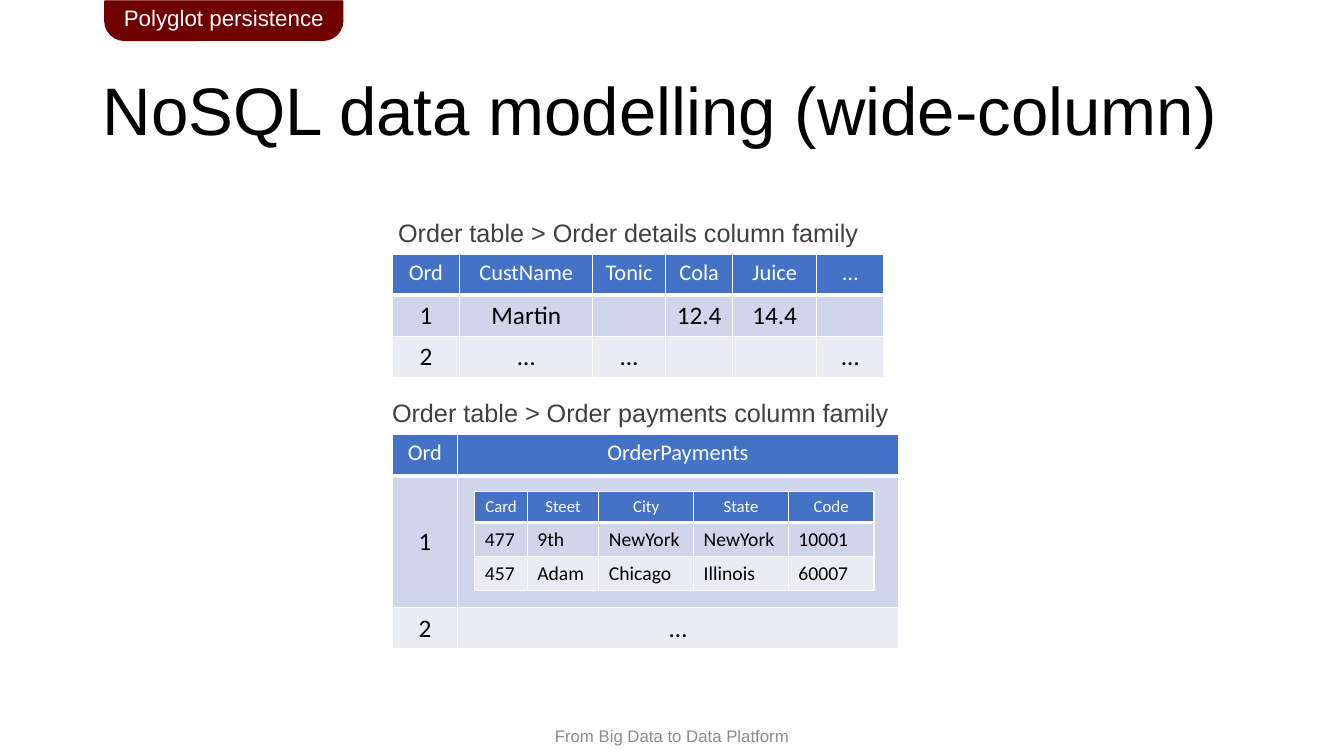
from dataclasses import dataclass

import lxml.etree
import pptx
import pptx.dml.color
import pptx.enum.shapes
import pptx.enum.text
import pptx.oxml.ns
import pptx.util

Inches = pptx.util.Inches
Align = pptx.enum.text.PP_ALIGN
Anchor = pptx.enum.text.MSO_ANCHOR

COLORS = {
    "black": "000000",
    "white": "FFFFFF",
    "label": "404040",
    "footer": "8C8C8C",
    "tab": "700000",
    "head": "4472C4",
    "odd": "CFD5EA",
    "even": "E9EBF5",
}


@dataclass
class Grid:
    left: float
    top: float
    widths: list[float]
    heights: list[float]
    rows: list[list[str]]
    head_size: int = 16
    body_size: int = 18
    align: Align = Align.CENTER
    anchor: Anchor = Anchor.TOP


@dataclass
class Label:
    text: str
    left: float
    top: float
    width: float
    size: int = 18
    color: str = "label"
    align: Align = Align.LEFT
    anchor: Anchor = Anchor.TOP
    wrap: bool = False


GRIDS = [
    Grid(3.89, 2.52, [0.67, 1.32, 0.72, 0.67, 0.83, 0.67], [0.41] * 3, [
        ["Ord", "CustName", "Tonic", "Cola", "Juice", "…"],
        ["1", "Martin", "", "12.4", "14.4", ""],
        ["2", "…", "…", "", "", "…"],
    ]),
    Grid(3.89, 4.31, [0.65, 4.37], [0.41, 1.31, 0.41], [
        ["Ord", "OrderPayments"],
        ["1", ""],
        ["2", "…"],
    ], anchor=Anchor.MIDDLE),
    Grid(4.71, 4.88, [0.52, 0.71, 0.94, 0.94, 0.85], [0.29, 0.32, 0.32], [
        ["Card", "Steet", "City", "State", "Code"],
        ["477", "9th", "NewYork", "NewYork", "10001"],
        ["457", "Adam", "Chicago", "Illinois", "60007"],
    ], head_size=12, body_size=14, align=Align.LEFT),
]

LABELS = [
    Label("Order table > Order details column family", 3.85, 2.11, 4.81),
    Label("Order table > Order payments column family", 3.79, 3.89, 5.17),
    Label("From Big Data to Data Platform", 4.79, 7.1, 3.75, 12, "footer",
          Align.CENTER, Anchor.MIDDLE, True),
]


def get_rgb(name: str) -> pptx.dml.color.RGBColor:
    return pptx.dml.color.RGBColor.from_string(COLORS[name])


def write(frame, text: str, *, size: int, color: str, font: str = "Arial",
          align: Align = Align.LEFT, spacing: float | None = None) -> None:
    para = frame.paragraphs[0]
    para.alignment = align
    para.line_spacing = spacing
    if not text:
        return
    run = para.add_run()
    run.text = text
    run.font.name = font
    run.font.size = pptx.util.Pt(size)
    run.font.color.rgb = get_rgb(color)


def add_borders(cell, row: int) -> None:
    """Draw white cell edges, thick between the head and the body."""
    props = cell._tc.get_or_add_tcPr()
    thick = {0: "lnB", 1: "lnT"}.get(row)
    for side in ("lnL", "lnR", "lnT", "lnB"):
        width = pptx.util.Pt(3 if side == thick else 1)
        line = lxml.etree.SubElement(
            props, pptx.oxml.ns.qn(f"a:{side}"), w=str(int(width)))
        fill = lxml.etree.SubElement(line, pptx.oxml.ns.qn("a:solidFill"))
        lxml.etree.SubElement(
            fill, pptx.oxml.ns.qn("a:srgbClr"), val=COLORS["white"])


def add_grid(slide, grid: Grid) -> None:
    table = slide.shapes.add_table(
        len(grid.heights), len(grid.widths),
        Inches(grid.left), Inches(grid.top),
        Inches(sum(grid.widths)), Inches(sum(grid.heights))).table
    for column, width in zip(table.columns, grid.widths):
        column.width = Inches(width)
    for row, (height, texts) in enumerate(zip(grid.heights, grid.rows)):
        table.rows[row].height = Inches(height)
        head = row == 0
        for col, text in enumerate(texts):
            cell = table.cell(row, col)
            add_borders(cell, row)
            cell.fill.solid()
            cell.fill.fore_color.rgb = get_rgb(("head", "odd", "even")[row])
            cell.vertical_anchor = Anchor.TOP if head else grid.anchor
            write(cell.text_frame, text, font="Calibri",
                  size=grid.head_size if head else grid.body_size,
                  color="white" if head else "black",
                  align=Align.CENTER if head else grid.align)
            if head:
                cell.text_frame.paragraphs[0].runs[0].font.bold = False


def add_label(slide, label: Label) -> None:
    frame = slide.shapes.add_textbox(
        Inches(label.left), Inches(label.top),
        Inches(label.width), Inches(0.4)).text_frame
    frame.word_wrap = label.wrap
    frame.vertical_anchor = label.anchor
    write(frame, label.text, size=label.size, color=label.color,
          align=label.align)


def add_title(slide, text: str) -> None:
    title = slide.shapes.title
    title.left, title.top = Inches(0.92), Inches(0.4)
    title.width, title.height = Inches(11.5), Inches(1.45)
    frame = title.text_frame
    frame.auto_size = pptx.enum.text.MSO_AUTO_SIZE.NONE
    frame.vertical_anchor = Anchor.MIDDLE
    write(frame, text, size=48, color="black", spacing=0.9)


def add_tab(slide, text: str) -> None:
    tab = slide.shapes.add_shape(
        pptx.enum.shapes.MSO_SHAPE.ROUND_2_SAME_RECTANGLE,
        Inches(1.04), Inches(0.01), Inches(2.36), Inches(0.39))
    tab.adjustments[0], tab.adjustments[1] = 0, 0.5
    tab.shadow.inherit = False
    tab.fill.solid()
    tab.fill.fore_color.rgb = get_rgb("tab")
    tab.line.color.rgb = get_rgb("tab")
    tab.line.width = pptx.util.Pt(1)
    tab.text_frame.vertical_anchor = Anchor.MIDDLE
    write(tab.text_frame, text, size=16, color="white", align=Align.CENTER)


def main() -> None:
    deck = pptx.Presentation()
    deck.slide_width, deck.slide_height = Inches(13.33), Inches(7.5)
    slide = deck.slides.add_slide(deck.slide_layouts.get_by_name("Title Only"))
    add_title(slide, "NoSQL data modelling (wide-column)")
    for grid in GRIDS:
        add_grid(slide, grid)
    for label in LABELS:
        add_label(slide, label)
    add_tab(slide, "Polyglot persistence")
    deck.save("out.pptx")


if __name__ == "__main__":
    main()
